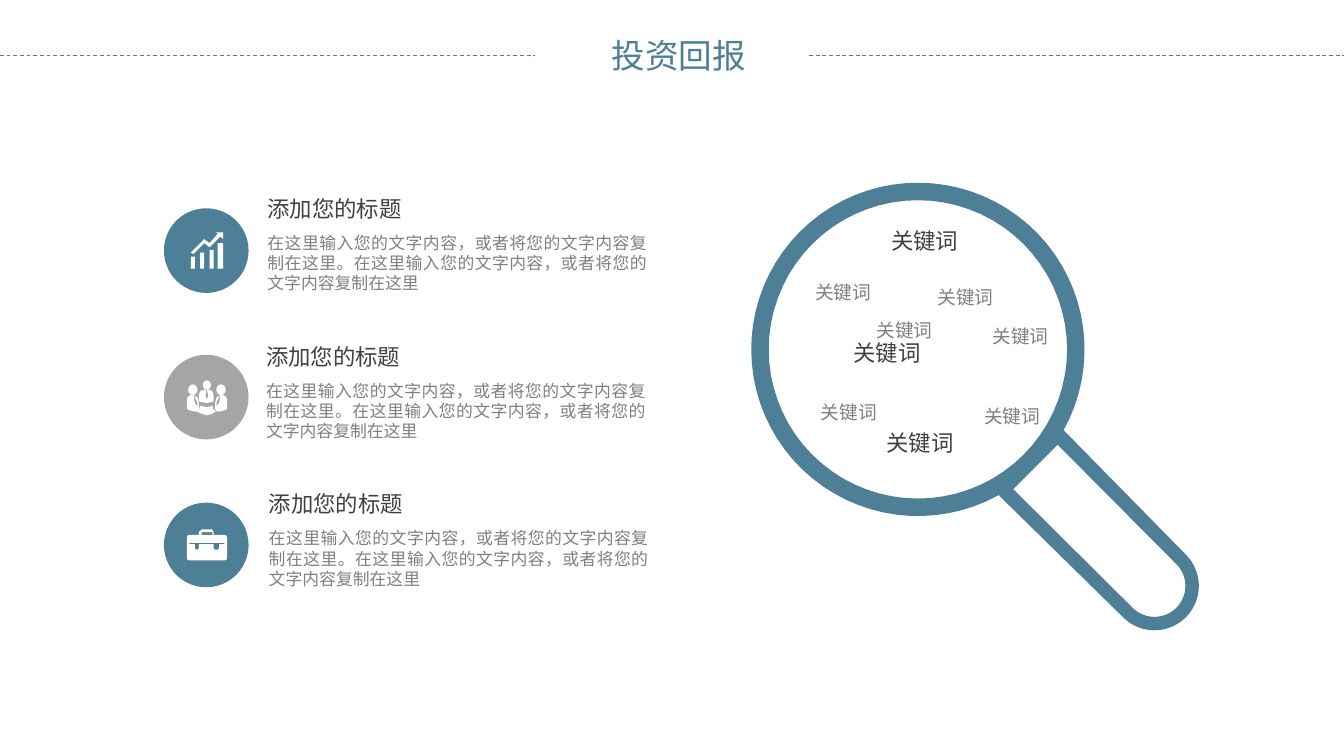
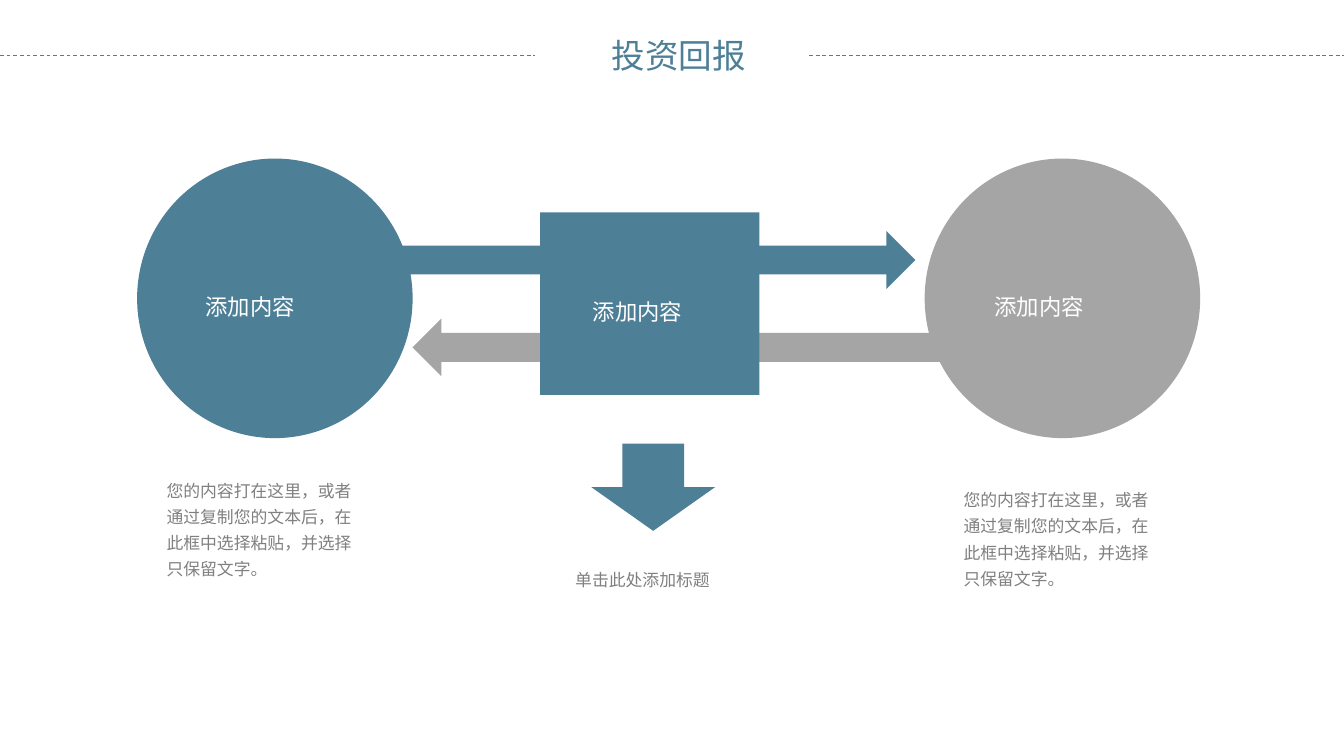
from dataclasses import dataclass
from math import cos, radians, sin

from lxml.etree import SubElement
from pptx import Presentation
from pptx.dml.color import RGBColor
from pptx.enum.dml import MSO_LINE
from pptx.enum.shapes import MSO_CONNECTOR, MSO_SHAPE
from pptx.enum.text import MSO_ANCHOR, MSO_AUTO_SIZE, PP_ALIGN
from pptx.oxml.ns import qn
from pptx.util import Pt

PX = 9144  # one px in EMU, 100 px to the inch
WIDE = 1000


@dataclass(frozen=True)
class Theme:
    font: str = "Noto Sans CJK SC"
    blue: str = "4D7F97"
    gray: str = "A5A5A5"
    white: str = "FFFFFF"
    dark: str = "404040"
    soft: str = "808080"
    title: int = 18
    head: int = 12
    word: int = 10
    body: int = 9


THEME = Theme()
BODY = "在这里输入您的文字内容，或者将您的文字内容复制在这里。在这里输入您的文字内容，或者将您的文字内容复制在这里"
NOTE = "您的内容打在这里，或者通过复制您的文本后，在此框中选择粘贴，并选择只保留文字。"


# Basic elements

def scale(*sizes):
    return [round(size * PX) for size in sizes]


def write(frame, text, size=THEME.body, color=THEME.soft, align=None,
          space=None, inset=(7, 4, 7, 4), wrap=True):
    """Put one formatted paragraph in a text frame."""
    frame.word_wrap = wrap
    (frame.margin_left, frame.margin_top,
     frame.margin_right, frame.margin_bottom) = scale(*inset)
    para = frame.paragraphs[0]
    para.alignment = align
    para.line_spacing = space
    run = para.add_run()
    run.text = text
    font = run.font
    font.size = Pt(size)
    font.color.rgb = RGBColor.from_string(color)
    font.name = THEME.font
    SubElement(run._r.get_or_add_rPr(), qn("a:ea"), typeface=THEME.font)


def label(slide, area, text, **style):
    frame = slide.shapes.add_textbox(*scale(*area)).text_frame
    write(frame, text, **style)
    frame.auto_size = MSO_AUTO_SIZE.SHAPE_TO_FIT_TEXT


def paint(shape, color):
    shape.shadow.inherit = False
    shape.fill.solid()
    shape.fill.fore_color.rgb = RGBColor.from_string(color)
    shape.line.fill.background()
    return shape


def block(slide, kind, area, color):
    return paint(slide.shapes.add_shape(kind, *scale(*area)), color)


def outline(slide, color, *loops):
    """Draw closed loops of points as one shape; inner loops are holes."""
    first = loops[0]
    build = slide.shapes.build_freeform(*scale(*first[0]), scale=1.0)
    for loop in loops:
        if loop is not first:
            build.move_to(*scale(*loop[0]))
        build.add_line_segments([scale(*point) for point in loop[1:]], close=True)
    paint(build.convert_to_shape(), color)


def dash(slide, left, right, top):
    line = slide.shapes.add_connector(
        MSO_CONNECTOR.STRAIGHT, *scale(left, top, right, top))
    line.line.color.rgb = RGBColor.from_string(THEME.blue)
    line.line.width = Pt(0.5)
    line.line.dash_style = MSO_LINE.DASH
    SubElement(line._element.spPr, qn("a:effectLst"))


def header(slide, text):
    label(slide, (448, 22, 116, 38), text, size=THEME.title,
          color=THEME.blue, wrap=False)
    dash(slide, 0, 398, 41)
    dash(slide, 602, WIDE, 41)


# Point helpers

def arc(x, y, size, start, stop, steps=72):
    turns = [radians(start + (stop - start) * i / steps) for i in range(steps + 1)]
    return [(x + size * cos(turn), y + size * sin(turn)) for turn in turns]


def box(left, top, right, bottom):
    return [(left, top), (right, top), (right, bottom), (left, bottom)]


# Icons

def growth(slide):
    arrow = [(161, 173), (162, 174), (156, 181), (152, 178), (142, 188),
             (144, 189), (152, 181), (156, 184), (164, 176), (166, 178), (166, 173)]
    bars = [box(left, top, right, 200) for left, right, top in
            ((142, 145, 191), (149, 152, 188), (156, 159, 186), (162, 166, 181))]
    outline(slide, THEME.white, arrow, *bars)


def team(slide):
    axis = 154
    coat = [(164, 294), (163, 300), (161, 302), (161, 300), (163.5, 294),
            (161, 296), (160, 300), (160, 304), (161, 306), (164, 306),
            (168, 305), (169, 304), (169, 297), (168, 295), (166, 294)]
    desk = [(159, 305), (158, 302), (154, 303), (149, 302), (148, 305),
            (146, 306), (150, 308), (154, 309), (158, 308), (161, 306)]
    chest = [(154, 300), (158, 299), (159, 298), (159, 294), (158, 291),
             (156, 290), (154, 290), (155, 295), (154, 297), (153, 295),
             (153.5, 290), (152, 290), (149, 291), (148, 294), (148, 298),
             (149, 299)]
    twin = [(2 * axis - x, y) for x, y in coat]
    for part in (coat, desk, chest, twin):
        outline(slide, THEME.white, part)
    for head in ((161, 286, 7, 8), (151, 283, 6, 7), (140, 286, 7, 8)):
        block(slide, MSO_SHAPE.OVAL, head, THEME.white)


def case(slide):
    body = [(141, 398), (167, 398), (168.5, 398.5), (169, 400), (169, 415),
            (168.5, 416.5), (167, 417), (141, 417), (139.5, 416.5),
            (139, 415), (139, 400), (139.5, 398.5)]
    grip = [(148, 398), (148, 396), (150, 394), (158, 394), (159, 396),
            (159, 398), (158, 398), (158, 396), (150, 396), (150, 398)]
    strap = [(141, 404), (167, 404), (167, 405), (163, 405), (163, 408),
             (162, 409), (160, 409), (159, 408), (159, 405), (148, 405),
             (148, 408), (147, 409), (146, 409), (145, 408), (145, 405),
             (141, 405)]
    outline(slide, THEME.white, body, grip, strap[::-1])


# Slide parts

def topic(slide, order, left, color, icon):
    block(slide, MSO_SHAPE.OVAL, (122, 155 + order * 219 // 2, 63, 63), color)
    top = 141 + order * 110
    label(slide, (left, top + 28, 296, 53), BODY, align=PP_ALIGN.JUSTIFY)
    label(slide, (left, top, 183, 28), "添加您的标题", size=THEME.head,
          color=THEME.dark, align=PP_ALIGN.JUSTIFY)
    icon(slide)


def lens(slide):
    hub, tip = (683, 260), (859, 436)
    rim = arc(*hub, 124, 61, 389) + arc(*tip, 33, -45, 135)
    grip = arc(*tip, 23, -45, 135) + [(754, 364), (787, 331)]
    outline(slide, THEME.blue, rim, grip[::-1], arc(*hub, 111, 360, 0))


def words(slide):
    large = ((588, 248, 144), (629, 165, 118), (636, 315, 97))
    small = ((586, 205, 83), (683, 209, 71), (720, 297, 66),
             (718, 238, 83), (596, 294, 71), (640, 233, 66))
    for spots, high, size, color in ((large, 28, THEME.head, THEME.dark),
                                     (small, 24, THEME.word, THEME.soft)):
        for left, top, wide in spots:
            label(slide, (left, top, wide, high), "关键词", size=size,
                  color=color, align=PP_ALIGN.CENTER)


def node(slide, kind, area, color, indent):
    frame = block(slide, kind, area, color).text_frame
    write(frame, "添加内容", size=THEME.head, color=THEME.white, space=1.2,
          align=PP_ALIGN.LEFT, inset=(indent, 13, 11, 5))
    frame.vertical_anchor = MSO_ANCHOR.MIDDLE


def search(slide):
    header(slide, "投资回报")
    lens(slide)
    topic(slide, 0, 192, THEME.blue, growth)
    topic(slide, 1, 191, THEME.gray, team)
    topic(slide, 2, 193, THEME.blue, case)
    words(slide)


def flow(slide):
    header(slide, "投资回报")
    # Arrows behind the nodes
    block(slide, MSO_SHAPE.RIGHT_ARROW, (292, 172, 389, 43), THEME.blue)
    back = block(slide, MSO_SHAPE.RIGHT_ARROW, (307, 237, 403, 43), THEME.gray)
    back._element.spPr.find(qn("a:xfrm")).set("flipH", "1")
    # Nodes
    node(slide, MSO_SHAPE.OVAL, (102, 118, 205, 208), THEME.blue, 21)
    node(slide, MSO_SHAPE.OVAL, (688, 118, 205, 208), THEME.gray, 22)
    node(slide, MSO_SHAPE.RECTANGLE, (402, 158, 163, 136), THEME.blue, 39)
    block(slide, MSO_SHAPE.DOWN_ARROW, (440, 330, 92, 65), THEME.blue)
    # Captions
    inset = (11, 5, 11, 5)
    for left, top in ((113, 348), (706, 355)):
        label(slide, (left, top, 170, 87), NOTE, space=1.3, inset=inset)
    label(slide, (417, 416, 129, 27), "单击此处添加标题", space=1.2, inset=inset)


def main():
    deck = Presentation()
    deck.slide_width = WIDE * PX
    deck.slide_height = WIDE * PX * 9 // 16
    for draw in (search, flow):
        draw(deck.slides.add_slide(deck.slide_layouts[6]))
    deck.save("out.pptx")


if __name__ == "__main__":
    main()
